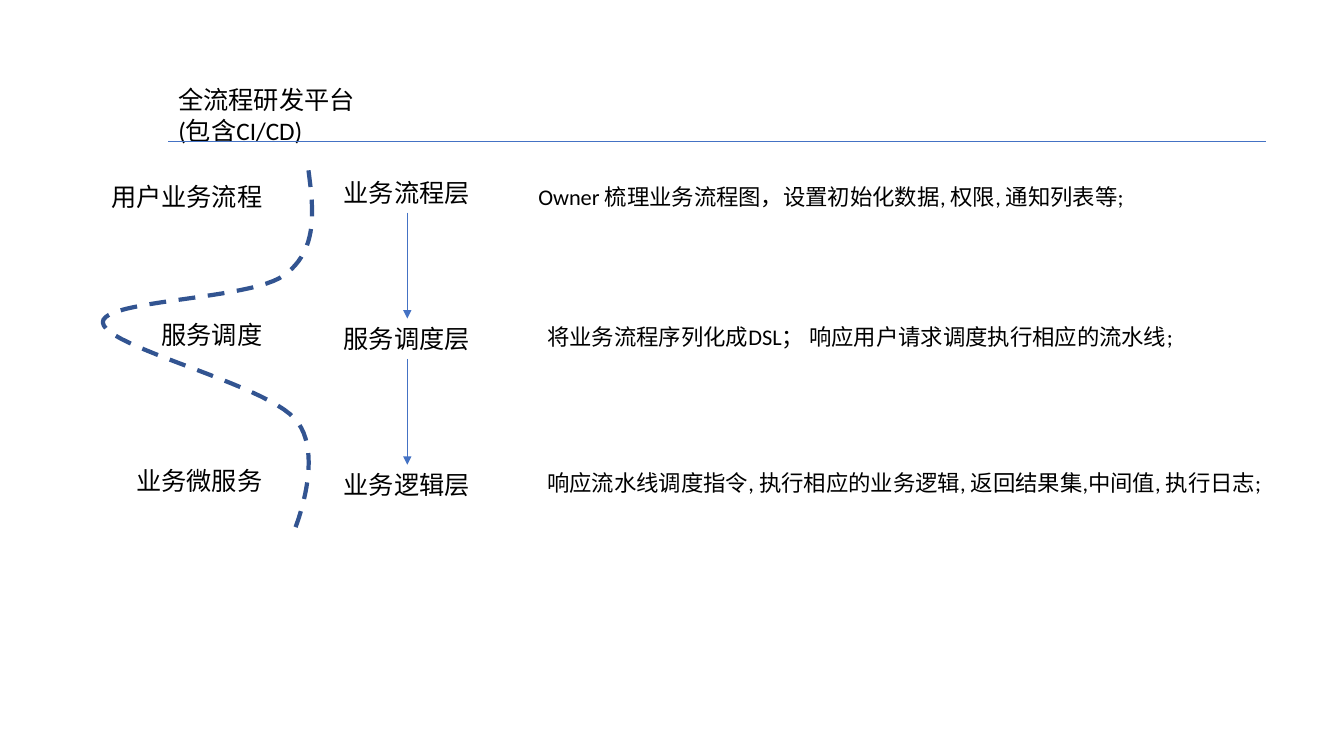
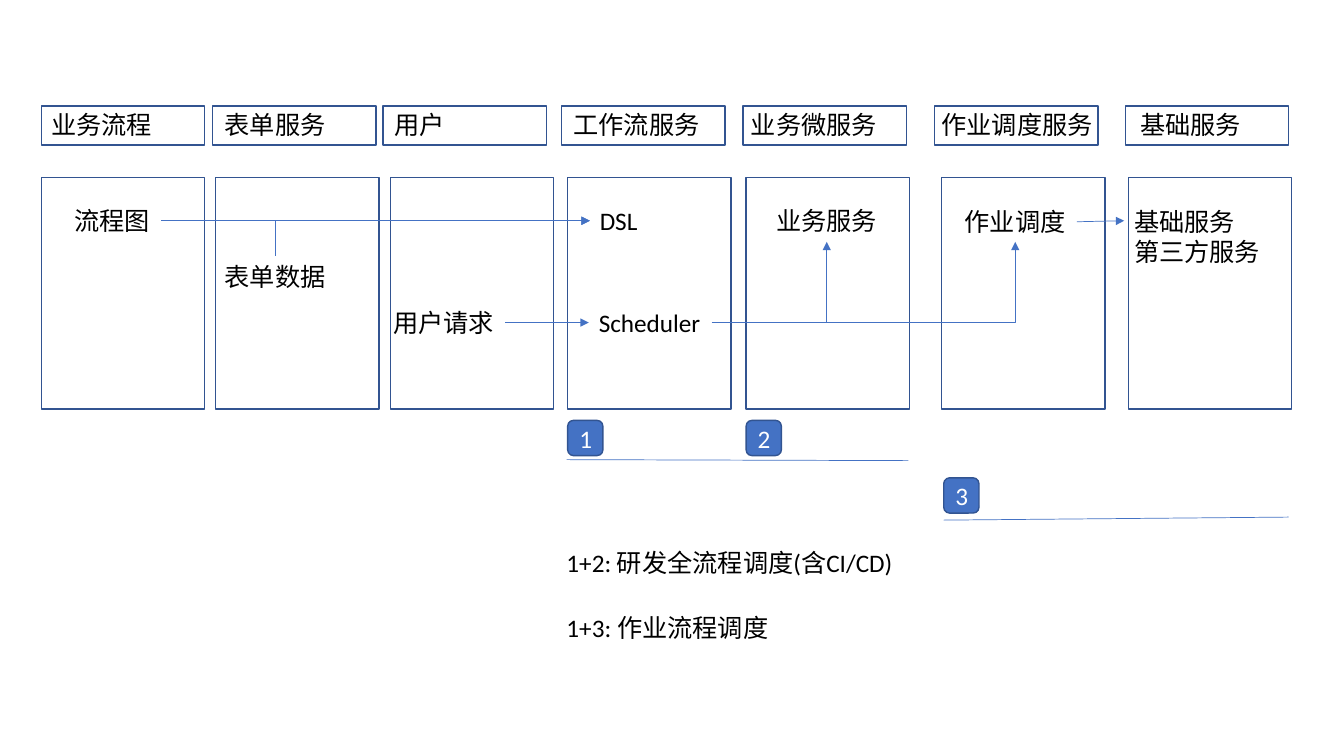
from pptx import Presentation
from pptx.dml.color import RGBColor
from pptx.enum.dml import MSO_LINE
from pptx.enum.shapes import MSO_CONNECTOR as CONNECTOR, MSO_SHAPE as SHAPE
from pptx.enum.text import MSO_ANCHOR as ANCHOR, MSO_AUTO_SIZE as AUTO_SIZE, PP_ALIGN as ALIGN
from pptx.oxml.ns import qn
from pptx.util import Pt
from lxml.etree import SubElement

# Shared style: 100 px to the inch
PX = 9144
FONT = "Calibri"
BLACK = RGBColor(0x00, 0x00, 0x00)
WHITE = RGBColor(0xFF, 0xFF, 0xFF)
BLUE = RGBColor(0x44, 0x72, 0xC4)
NAVY = RGBColor(0x32, 0x54, 0x91)

# Slide 1 content
PLATFORM = "全流程研发平台 (包含CI/CD)"
LAYER_TOP, LAYER_STEP, LAYER_HEIGHT = 171, 145, 40
ARROW_X = 404
LAYERS = ["业务流程层", "服务调度层", "业务逻辑层"]
ROLES = [("用户业务流程", 175), ("服务调度", 312), ("业务微服务", 457)]
DETAILS = [  # text, left, top, width
    ("Owner 梳理业务流程图，设置初始化数据, 权限, 通知列表等;", 524, 177, 689),
    ("将业务流程序列化成DSL； 响应用户请求调度执行相应的流水线;", 533, 316, 689),
    ("响应流水线调度指令, 执行相应的业务逻辑, 返回结果集,中间值, 执行日志;", 533, 461, 761),
]
WAVE_START = (306, 169)
WAVE_CURVES = [  # two control points and an end point
    ((311, 208), (316, 248), (282, 273)),
    ((248, 298), (101, 297), (102, 320)),
    ((104, 344), (260, 380), (292, 415)),
    ((324, 449), (292, 526), (292, 526)),
]

# Slide 2 content
BOX_WIDTH = 162
HEADER_TOP, HEADER_HEIGHT = 105, 39
BODY_TOP, BODY_HEIGHT = 176, 230
COLUMNS = [  # heading, heading left, header box left, body box left
    ("业务流程", 41, 41, 41),
    ("表单服务", 213, 211, 214),
    ("用户", 381, 380, 387),
    ("工作流服务", 559, 557, 563),
    ("业务微服务", 735, 737, 740),
    ("作业调度服务", 924, 927, 934),
    ("基础服务", 1121, 1116, 1119),
]
STEPS = [  # lines, left, top, width
    (["流程图"], 64, 199, 96),
    (["表单数据"], 213, 254, 121),
    (["用户请求"], 380, 300, 121),
    (["DSL"], 585, 199, 58),
    (["Scheduler"], 584, 300, 122),
    (["业务服务"], 760, 199, 121),
    (["作业调度"], 947, 200, 121),
    (["基础服务", "第三方服务"], 1115, 200, 146),
]
STRAIGHT_ARROWS = [
    ((160, 219), (585, 219)),
    ((501, 320), (584, 320)),
    ((1068, 220), (1115, 219)),
]
BENT_ARROWS = [  # horizontal first, then vertical; end that has the arrowhead
    ((585, 219), (273, 254), "headEnd"),
    ((706, 320), (820, 240), "tailEnd"),
    ((706, 320), (1007, 240), "tailEnd"),
]
STAGE_LINES = [((562, 456), (901, 457)), ((936, 516), (1278, 513))]
BADGE_SIZE = 35
BADGES = [("1", 563, 417), ("2", 740, 417), ("3", 936, 474)]
NOTES = [("1+2: 研发全流程调度(含CI/CD)", 538, 347), ("1+3: 作业流程调度", 603, 222)]
NOTE_LEFT = 552


def add_lines(frame, lines, size, color, align):
    for index, line in enumerate(lines):
        paragraph = frame.paragraphs[0] if index == 0 else frame.add_paragraph()
        paragraph.alignment = align
        run = paragraph.add_run()
        run.text = line
        run.font.name = FONT
        run.font.size = Pt(size)
        run.font.color.rgb = color


def add_label(slide, lines, left, top, width, height=40, size=18, align=ALIGN.LEFT, wrap=True):
    box = slide.shapes.add_textbox(left * PX, top * PX, width * PX, height * PX)
    frame = box.text_frame
    frame.word_wrap = wrap
    frame.auto_size = AUTO_SIZE.SHAPE_TO_FIT_TEXT
    add_lines(frame, lines, size, BLACK, align)


def add_box(slide, kind, left, top, width, height, fill=None):
    shape = slide.shapes.add_shape(kind, left * PX, top * PX, width * PX, height * PX)
    shape.shadow.inherit = False
    if fill is None:
        shape.fill.background()
    else:
        shape.fill.solid()
        shape.fill.fore_color.rgb = fill
    shape.line.color.rgb = NAVY
    shape.line.width = Pt(1)
    return shape


def add_line(slide, start, end, arrow=None, bent=False):
    kind = CONNECTOR.ELBOW if bent else CONNECTOR.STRAIGHT
    connector = slide.shapes.add_connector(kind, *(value * PX for value in start + end))
    connector.line.color.rgb = BLUE
    connector.line.width = Pt(0.5)
    properties = connector._element.spPr
    if bent:
        properties.find(qn("a:prstGeom")).set("prst", "bentConnector2")
    if arrow:
        SubElement(properties.find(qn("a:ln")), qn(f"a:{arrow}")).set("type", "triangle")
    SubElement(properties, qn("a:effectLst"))


def curve_points(start, curves, steps=24):
    """Points along a chain of cubic Bezier curves."""
    points = []
    for first, second, end in curves:
        for step in range(1, steps + 1):
            t = step / steps
            u = 1 - t
            weights = (u ** 3, 3 * u * u * t, 3 * u * t * t, t ** 3)
            corners = (start, first, second, end)
            points.append(tuple(
                round(PX * sum(weight * corner[axis] for weight, corner in zip(weights, corners)))
                for axis in (0, 1)))
        start = end
    return points


def build_layers_slide(slide):
    # Title and rule
    add_label(slide, [PLATFORM], 167, 79, 323)
    add_line(slide, (167, 140), (1256, 140))

    # Layers joined by arrows
    for index, layer in enumerate(LAYERS):
        top = LAYER_TOP + index * LAYER_STEP
        add_label(slide, [layer], 331, top, 146, LAYER_HEIGHT)
        if index:
            add_line(slide, (ARROW_X, top - LAYER_STEP + LAYER_HEIGHT), (ARROW_X, top), "tailEnd")

    # Roles on the left, details on the right
    for role, top in ROLES:
        add_label(slide, [role], 98, top, 172, align=ALIGN.RIGHT)
    for detail, left, top, width in DETAILS:
        add_label(slide, [detail], left, top, width, 37, size=16)

    # Dashed wave
    builder = slide.shapes.build_freeform(*(value * PX for value in WAVE_START))
    builder.add_line_segments(curve_points(WAVE_START, WAVE_CURVES), close=False)
    wave = builder.convert_to_shape()
    wave.shadow.inherit = False
    wave.fill.background()
    wave.line.color.rgb = NAVY
    wave.line.width = Pt(3)
    wave.line.dash_style = MSO_LINE.DASH


def build_services_slide(slide):
    # Columns
    for heading, heading_left, header_left, body_left in COLUMNS:
        add_box(slide, SHAPE.RECTANGLE, header_left, HEADER_TOP, BOX_WIDTH, HEADER_HEIGHT)
        add_box(slide, SHAPE.RECTANGLE, body_left, BODY_TOP, BOX_WIDTH, BODY_HEIGHT)
        width = 20 + 25 * len(heading)
        add_label(slide, [heading], heading_left, HEADER_TOP - 1, width, wrap=False)

    # Steps and flow
    for lines, left, top, width in STEPS:
        add_label(slide, lines, left, top, width, 10 + 30 * len(lines), wrap=False)
    for start, end in STRAIGHT_ARROWS:
        add_line(slide, start, end, "tailEnd")
    for start, end, arrow in BENT_ARROWS:
        add_line(slide, start, end, arrow, bent=True)

    # Numbered stages
    for start, end in STAGE_LINES:
        add_line(slide, start, end)
    for number, left, top in BADGES:
        badge = add_box(slide, SHAPE.ROUNDED_RECTANGLE, left, top, BADGE_SIZE, BADGE_SIZE, BLUE)
        badge.text_frame.vertical_anchor = ANCHOR.MIDDLE
        add_lines(badge.text_frame, [number], 18, WHITE, ALIGN.CENTER)

    # Notes
    for note, top, width in NOTES:
        add_label(slide, [note], NOTE_LEFT, top, width)


def main():
    presentation = Presentation()
    presentation.slide_width = 1333 * PX
    presentation.slide_height = 750 * PX
    blank = presentation.slide_layouts[6]
    for build in (build_layers_slide, build_services_slide):
        build(presentation.slides.add_slide(blank))
    presentation.save("out.pptx")


if __name__ == "__main__":
    main()
